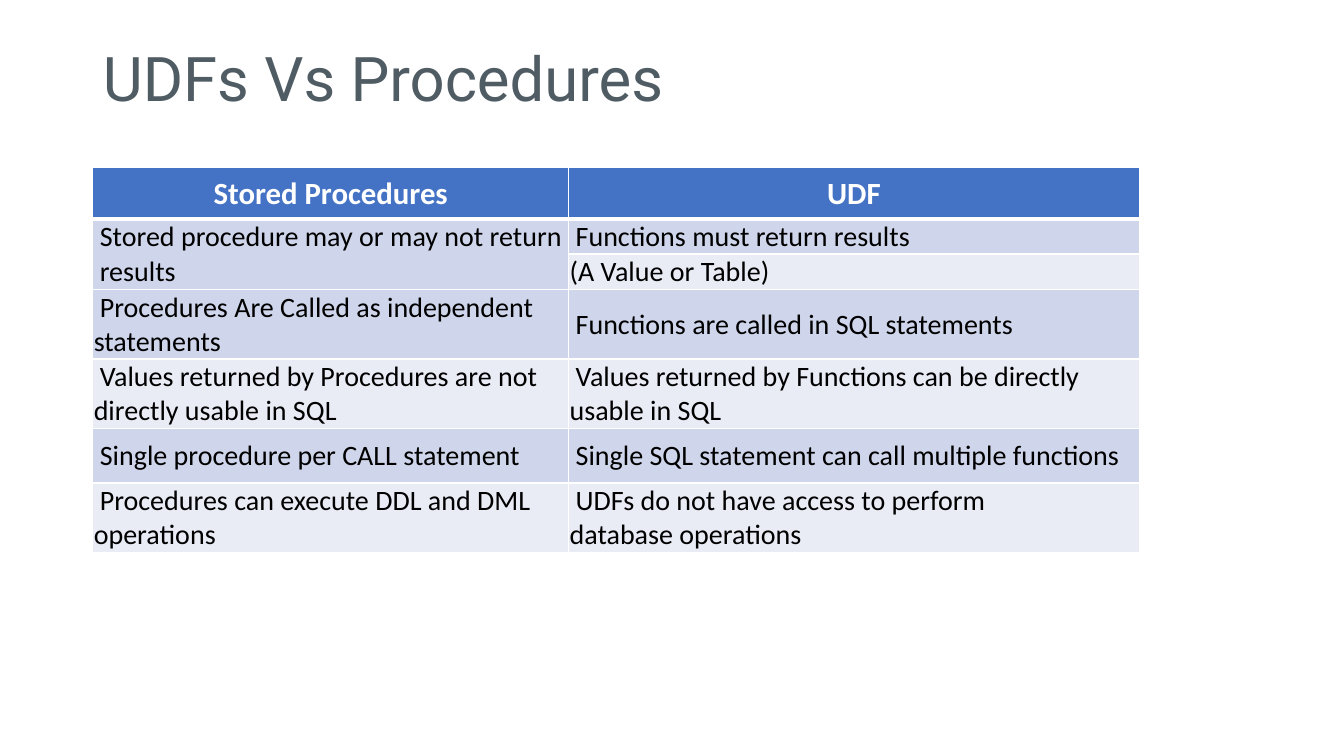
"""Builds a slide that compares stored procedures with UDFs in a table."""
from lxml.etree import SubElement
from pptx import Presentation
from pptx.dml.color import RGBColor
from pptx.enum.text import MSO_ANCHOR as Anchor, MSO_AUTO_SIZE as AutoSize, PP_ALIGN as Align
from pptx.oxml.ns import qn
from pptx.util import Inches, Pt

LEFT = 0.92
COLUMNS = (4.72, 5.66)
ROWS = (0.51, 0.34, 0.35, 0.69, 0.69, 0.54, 0.68)
HEADER_FILL, BANDS = "4472C4", ("E9EBF5", "CFD5EA")
INDENT = 0.06
NOTE = "(A Value or Table)"
COMPARISON = (
    ("Stored Procedures", "UDF"),
    ("Stored procedure may or may not return results", "Functions must return results"),
    ("", NOTE),
    ("Procedures Are Called as independent statements", "Functions are called in SQL statements"),
    ("Values returned by Procedures are not directly usable in SQL",
     "Values returned by Functions can be directly\nusable in SQL"),
    ("Single procedure per CALL statement", "Single SQL statement can call multiple functions"),
    ("Procedures can execute DDL and DML operations",
     "UDFs do not have access to perform\ndatabase operations"),
)


def paint(target, color):
    """Gives a fill or a font a solid colour from a hex string."""
    if hasattr(target, "solid"):
        target.solid()
        target.fore_color.rgb = RGBColor.from_string(color)
    else:
        target.color.rgb = RGBColor.from_string(color)


def style(para, name, size, color, bold=False, align=Align.LEFT):
    """Sets the alignment and font of a paragraph."""
    para.alignment = align
    para.font.name, para.font.size, para.font.bold = name, Pt(size), bold
    paint(para.font, color)


def add_borders(cell, bottom):
    """Draws white borders round a cell, with its own width at the bottom."""
    properties = cell._tc.get_or_add_tcPr()
    for place, (side, width) in enumerate((("L", 1), ("R", 1), ("T", 1), ("B", bottom))):
        line = SubElement(properties, qn(f"a:ln{side}"), w=str(Pt(width)))
        fill = SubElement(line, qn("a:solidFill"))
        SubElement(fill, qn("a:srgbClr"), val="FFFFFF")
        properties.insert(place, line)


def fill_cell(cell, text, row):
    """Writes and formats one cell by the rules of its row."""
    header = row == 0
    cell.text = text
    cell.vertical_anchor = Anchor.MIDDLE
    cell.margin_left = cell.margin_right = cell.margin_top = Inches(0.01)
    cell.margin_bottom = 0
    for para in cell.text_frame.paragraphs:
        if header:
            style(para, "Calibri", 22, "FFFFFF", True, Align.CENTER)
        else:
            style(para, "Calibri", 20, "000000")
    if not header and text != NOTE:
        first = cell.text_frame.paragraphs[0]._p.get_or_add_pPr()
        first.set("marL" if cell.is_merge_origin else "indent", str(Inches(INDENT)))
    paint(cell.fill, HEADER_FILL if header else BANDS[row % 2])
    add_borders(cell, 3 if header else 1)


def add_title(page, text):
    """Places and formats the title."""
    title = page.shapes.title
    title.left, title.top, title.width, title.height = map(Inches, (LEFT, 0.4, 11.5, 0.82))
    frame = title.text_frame
    frame.text = text
    frame.auto_size, frame.vertical_anchor = AutoSize.NONE, Anchor.MIDDLE
    frame.paragraphs[0].line_spacing = 0.9
    style(frame.paragraphs[0], "Roboto", 44, "505C63")


def add_comparison(page):
    """Adds the comparison table."""
    box = map(Inches, (LEFT, 1.66, sum(COLUMNS), sum(ROWS)))
    table = page.shapes.add_table(len(ROWS), len(COLUMNS), *box).table
    for column, width in zip(table.columns, COLUMNS):
        column.width = Inches(width)
    for row, height in zip(table.rows, ROWS):
        row.height = Inches(height)
    table.cell(1, 0).merge(table.cell(2, 0))
    for row, texts in enumerate(COMPARISON):
        for column, text in enumerate(texts):
            fill_cell(table.cell(row, column), text, row)


def main():
    """Builds and saves the deck."""
    deck = Presentation()
    deck.slide_width, deck.slide_height = Inches(13.33), Inches(7.5)
    page = deck.slides.add_slide(deck.slide_layouts[5])
    paint(page.background.fill, "FFFFFF")
    add_title(page, "UDFs Vs Procedures")
    add_comparison(page)
    deck.save("out.pptx")


if __name__ == "__main__":
    main()
